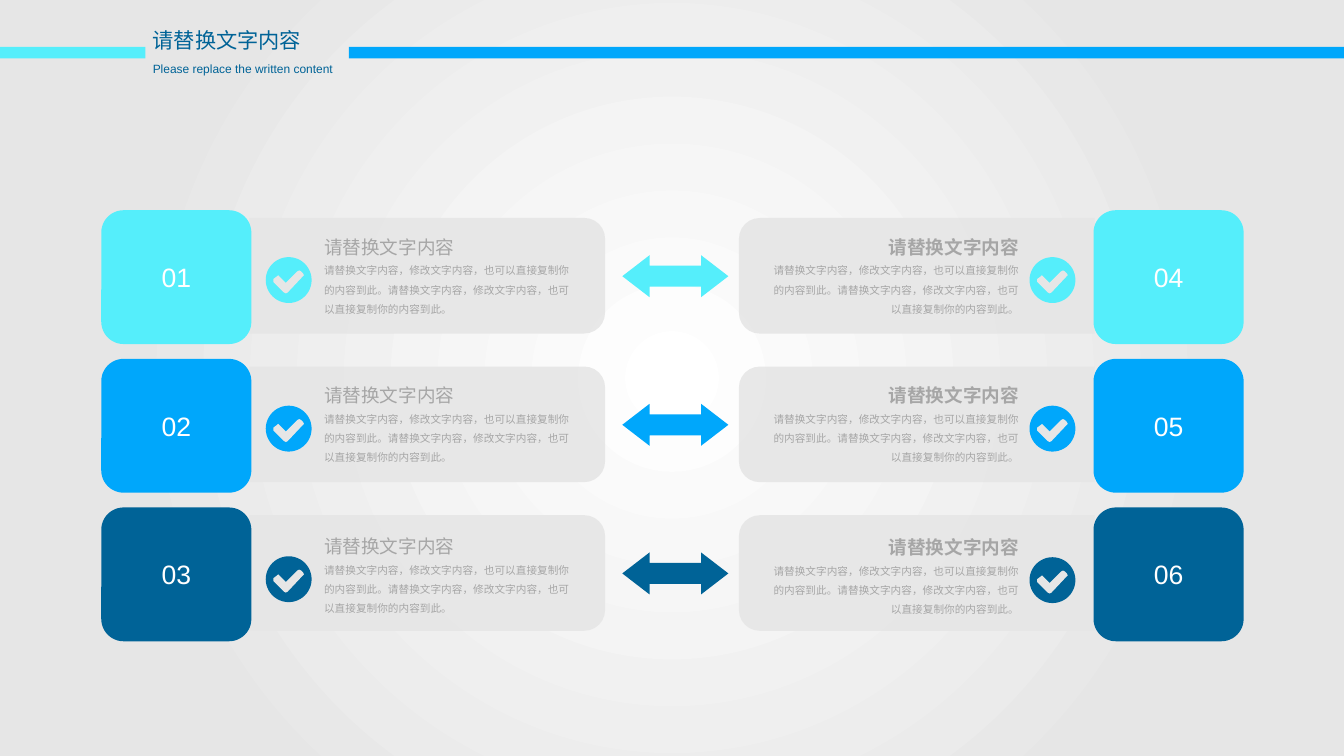
from dataclasses import dataclass

from lxml import etree
from pptx import Presentation
from pptx import util as u
from pptx.dml.color import RGBColor
from pptx.enum import shapes, text
from pptx.oxml import ns

HEADING = "请替换文字内容"
SUBHEADING = "Please replace the written content"
BODY = "请替换文字内容，修改文字内容，也可以直接复制你的内容到此。" * 2

SIDES = [
    dict(numbers=["01", "02", "03"], tile=1.06, panel=2.61, icon=2.78, copy=3.39,
         turn=90, align="LEFT", bold=False, last_drop=0.02),
    dict(numbers=["04", "05", "06"], tile=11.44, panel=7.73, icon=10.77, copy=8.08,
         turn=270, align="RIGHT", bold=True, last_drop=0.03),
]

CHECK = [(39, 17), (37, 15), (35, 14), (33, 15), (21, 27), (14, 20), (13, 19), (12, 20),
         (8, 23), (8, 26), (19, 37), (21, 38), (23, 37), (39, 20), (40, 19)]


@dataclass
class Theme:
    font: str = "Arial"
    cyan: str = "55EEFB"
    blue: str = "00A7FB"
    navy: str = "006397"
    panel: str = "E6E6E6"
    grey: str = "A6A6A6"
    white: str = "FFFFFF"
    number: int = 20
    heading: int = 16
    title: int = 14
    small: int = 9
    body: int = 8


T = Theme()
ROW_COLORS = [T.cyan, T.blue, T.navy]
W, H = 14.06, 7.91
TOP, PITCH = 2.2, 1.555
TILE_W, TILE_H = 1.57, 1.4
PANEL_W, PANEL_H = 3.72, 1.21
ARROW_W, ARROW_H = 1.11, 0.44
ICON = 0.48
BAR_Y, BAR_H = 0.49, 0.12
BAR_GAP = (1.52, 3.65)

prs = Presentation()
prs.slide_width, prs.slide_height = u.Inches(W), u.Inches(H)
s = prs.slides.add_slide(prs.slide_layouts[6])


def paint(sp, color):
    sp.shadow.inherit = False
    sp.fill.solid()
    sp.fill.fore_color.rgb = RGBColor.from_string(color)
    sp.line.fill.background()
    return sp


def shape(kind, x, y, w, h, color):
    kind = getattr(shapes.MSO_SHAPE, kind)
    return paint(s.shapes.add_shape(kind, *map(u.Inches, (x, y, w, h))), color)


def write(p, words, size, color, bold=False, align="LEFT", spacing=None):
    p.alignment = getattr(text.PP_ALIGN, align)
    if spacing:
        p.line_spacing = spacing
    r = p.add_run()
    r.text = words
    r.font.name, r.font.size, r.font.bold = T.font, u.Pt(size), bold
    r.font.color.rgb = RGBColor.from_string(color)


def text_frame(x, y, w, h, wrap):
    tf = s.shapes.add_textbox(*map(u.Inches, (x, y, w, h))).text_frame
    tf.word_wrap = wrap
    return tf


def no_margins(tf):
    tf.margin_left = tf.margin_top = tf.margin_right = tf.margin_bottom = 0


def background():
    fill = s.background.fill
    fill.gradient()
    for stop, place, color in zip(fill.gradient_stops, (0, 0.73), (T.white, T.panel)):
        stop.position = place
        stop.color.rgb = RGBColor.from_string(color)
    grad = next(s.element.iter(ns.qn("a:gradFill")))
    grad.remove(grad.find(ns.qn("a:lin")))
    circle = etree.SubElement(grad, ns.qn("a:path"), path="circle")
    etree.SubElement(circle, ns.qn("a:fillToRect"), l="50000", t="50000", r="50000", b="50000")


def panel(x, y, turn):
    inset = (PANEL_W - PANEL_H) / 2
    sp = shape("ROUND_2_SAME_RECTANGLE", x + inset, y - inset, PANEL_H, PANEL_W, T.panel)
    sp.adjustments[0] = 0.18
    sp.rotation = turn
    color = next(sp.element.spPr.iter(ns.qn("a:srgbClr")))
    etree.SubElement(color, ns.qn("a:alpha"), val="90000")


def check_icon(x, y, color):
    shape("OVAL", x, y, ICON, ICON, color)
    points = [(u.Inches(x + px / 100), u.Inches(y + py / 100)) for px, py in CHECK]
    outline = s.shapes.build_freeform(*points[0])
    outline.add_line_segments(points[1:], close=True)
    paint(outline.convert_to_shape(), T.panel)


def copy_block(x, y, align, bold):
    tf = text_frame(x, y, 2.58, 0.96, True)
    no_margins(tf)
    write(tf.paragraphs[0], HEADING, T.title, T.grey, bold, align, 1.5)
    write(tf.add_paragraph(), BODY, T.body, T.grey, False, align, 1.5)


def number_tile(x, y, number, color):
    tf = shape("ROUNDED_RECTANGLE", x, y, TILE_W, TILE_H, color).text_frame
    no_margins(tf)
    tf.vertical_anchor = text.MSO_ANCHOR.MIDDLE
    write(tf.paragraphs[0], number, T.number, T.white, align="CENTER")


def header():
    shape("RECTANGLE", BAR_GAP[1], BAR_Y, W - BAR_GAP[1], BAR_H, T.blue)
    shape("RECTANGLE", 0, BAR_Y, BAR_GAP[0], BAR_H, T.cyan)
    for words, size, y, w, h in [(SUBHEADING, T.small, 0.59, 2.1, 0.25),
                                 (HEADING, T.heading, 0.24, 1.77, 0.37)]:
        write(text_frame(1.5, y, w, h, False).paragraphs[0], words, size, T.navy)


background()
for row, color in enumerate(ROW_COLORS):
    y = TOP + row * PITCH
    arrow = shape("LEFT_RIGHT_ARROW", 6.51, y + 0.47, ARROW_W, ARROW_H, color)
    arrow.adjustments[0], arrow.adjustments[1] = 0.5, 0.65
    for side in SIDES:
        drop = side["last_drop"] if row == len(ROW_COLORS) - 1 else 0
        panel(side["panel"], y + 0.08, side["turn"])
        check_icon(side["icon"], y + 0.49 + drop, color)
        copy_block(side["copy"], y + 0.15 + drop, side["align"], side["bold"])
        number_tile(side["tile"], y, side["numbers"][row], color)
header()
prs.save("out.pptx")
